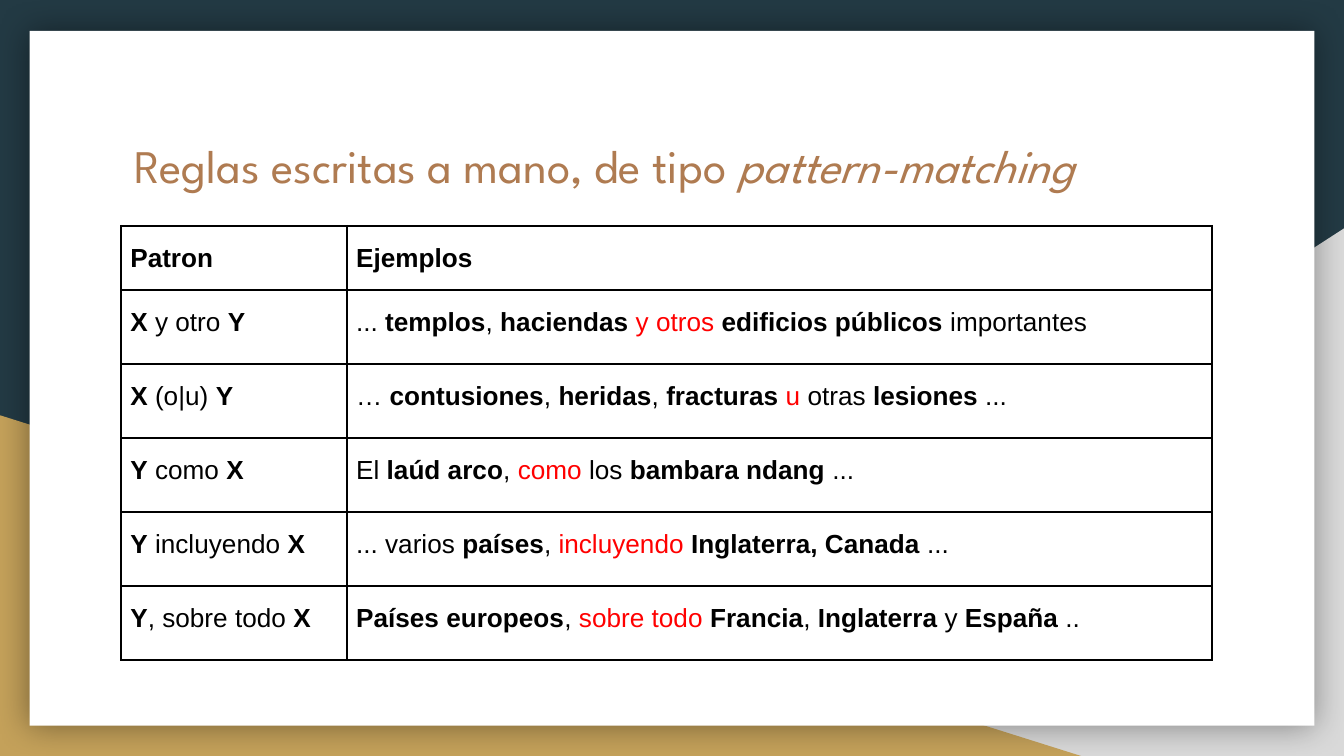
from typing import NamedTuple

from lxml.etree import SubElement
from pptx import Presentation
from pptx.dml.color import RGBColor
from pptx.enum.shapes import MSO_SHAPE as Preset
from pptx.enum.text import MSO_ANCHOR as Anchor, PP_ALIGN as Align
from pptx.oxml.ns import qn
from pptx.util import Inches, Pt

SLIDE_WIDTH = Inches(10)
SLIDE_HEIGHT = SLIDE_WIDTH * 9 // 16

NAVY = RGBColor(0x23, 0x3A, 0x44)
GREY = RGBColor(0xD9, 0xD9, 0xD9)
GOLD = RGBColor(0xC4, 0xA1, 0x5A)
WHITE = RGBColor(0xFF, 0xFF, 0xFF)
BROWN = RGBColor(0xAF, 0x7B, 0x51)
BLACK = RGBColor(0x00, 0x00, 0x00)
RED = RGBColor(0xFF, 0x00, 0x00)


class Panel(NamedTuple):
    preset: Preset
    left: float
    top: float
    width: float
    height: float
    color: RGBColor
    flipped: bool = False
    shadowed: bool = False


class Rule(NamedTuple):
    pattern: str
    example: str


PANELS = [
    Panel(Preset.RIGHT_TRIANGLE, 3.92, 1.7, 6.08, 3.93, GREY, flipped=True),
    Panel(Preset.RIGHT_TRIANGLE, 0, 3.09, 8.06, 2.54, GOLD),
    Panel(Preset.RECTANGLE, 0.22, 0.23, 9.56, 5.17, WHITE, shadowed=True),
]

# *bold*, _accent_
RULES = [
    Rule("*Patron*", "*Ejemplos*"),
    Rule("*X* y otro *Y*",
         "... *templos*, *haciendas *_y otros _*edificios públicos* importantes"),
    Rule("*X* (o|u) *Y*",
         "… *contusiones*, *heridas*, *fracturas *_u_ otras *lesiones* ..."),
    Rule("*Y* como* X*", "El *laúd arco*, _como_ los *bambara ndang* ..."),
    Rule("*Y* incluyendo *X*",
         "... varios *países*, _incluyendo _*Inglaterra, Canada* ..."),
    Rule("*Y*, sobre todo *X*",
         "*Países europeos*, _sobre todo _*Francia*, *Inglaterra* y *España* .."),
]
COLUMN_WIDTHS = (1.68, 6.44)
HEADER_HEIGHT, RULE_HEIGHT = 0.48, 0.55


def write(frame, text: str, *, font: str, size: float, color: RGBColor,
          accent: RGBColor, accent_italic: bool = False, spacing: float = 1.0) -> None:
    """Write one paragraph, with *bold* and _accent_ marks turned into runs."""
    paragraph = frame.paragraphs[0]
    paragraph.alignment = Align.LEFT
    paragraph.line_spacing = spacing
    for bold_index, stretch in enumerate(text.split("*")):
        for accent_index, words in enumerate(stretch.split("_")):
            if not words:
                continue
            accented = accent_index % 2 == 1
            run = paragraph.add_run()
            run.text = words
            run.font.name = font
            run.font.size = Pt(size)
            run.font.bold = bold_index % 2 == 1
            run.font.italic = accented and accent_italic
            run.font.color.rgb = accent if accented else color


def add_shadow(shape, blur: float, opacity: int) -> None:
    effects = shape._element.spPr.find(qn("a:effectLst"))
    shadow = SubElement(effects, qn("a:outerShdw"), blurRad=str(Pt(blur)),
                        dist="0", dir="0", algn="ctr", rotWithShape="0")
    tint = SubElement(shadow, qn("a:srgbClr"), val=str(BLACK))
    SubElement(tint, qn("a:alpha"), val=str(opacity * 1000))


def add_panel(slide, panel: Panel) -> None:
    shape = slide.shapes.add_shape(
        panel.preset, Inches(panel.left), Inches(panel.top),
        Inches(panel.width), Inches(panel.height))
    shape.fill.solid()
    shape.fill.fore_color.rgb = panel.color
    shape.line.fill.background()
    shape.shadow.inherit = False
    if panel.flipped:
        shape._element.spPr.xfrm.set("flipH", "1")
    if panel.shadowed:
        add_shadow(shape, blur=18, opacity=40)


def add_title(slide, text: str) -> None:
    title = slide.shapes.add_textbox(Inches(0.9), Inches(0.92), Inches(8.21), Inches(1.04))
    frame = title.text_frame
    frame.word_wrap = True
    frame.vertical_anchor = Anchor.TOP
    frame.margin_left = frame.margin_right = Inches(0.1)
    frame.margin_top = frame.margin_bottom = Inches(0.1)
    write(frame, text, font="League Spartan", size=25, color=BROWN,
          accent=BROWN, accent_italic=True)


def add_borders(cell, color: RGBColor, width: float) -> None:
    properties = cell._tc.get_or_add_tcPr()
    for side in ("a:lnL", "a:lnR", "a:lnT", "a:lnB"):
        line = SubElement(properties, qn(side), w=str(Pt(width)))
        fill = SubElement(line, qn("a:solidFill"))
        SubElement(fill, qn("a:srgbClr"), val=str(color))


def add_rules_table(slide, rules: list[Rule]) -> None:
    heights = [HEADER_HEIGHT] + [RULE_HEIGHT] * (len(rules) - 1)
    table = slide.shapes.add_table(
        len(rules), len(COLUMN_WIDTHS), Inches(0.9), Inches(1.68),
        Inches(sum(COLUMN_WIDTHS)), Inches(sum(heights))).table
    table.first_row = table.horz_banding = False
    for column, width in zip(table.columns, COLUMN_WIDTHS):
        column.width = Inches(width)
    for row, height, rule in zip(table.rows, heights, rules):
        row.height = Inches(height)
        for cell, text in zip(row.cells, rule):
            cell.margin_left = cell.margin_right = Inches(0.07)
            cell.margin_top = cell.margin_bottom = Inches(0.1)
            cell.vertical_anchor = Anchor.TOP
            add_borders(cell, BLACK, 1)
            cell.fill.background()
            write(cell.text_frame, text, font="Arial", size=14, color=BLACK,
                  accent=RED, spacing=1.15)


def main() -> None:
    deck = Presentation()
    deck.slide_width, deck.slide_height = SLIDE_WIDTH, SLIDE_HEIGHT
    slide = deck.slides.add_slide(deck.slide_layouts[6])
    slide.background.fill.solid()
    slide.background.fill.fore_color.rgb = NAVY
    for panel in PANELS:
        add_panel(slide, panel)
    add_title(slide, "Reglas escritas a mano, de tipo _pattern-matching_")
    add_rules_table(slide, RULES)
    deck.save("out.pptx")


if __name__ == "__main__":
    main()
